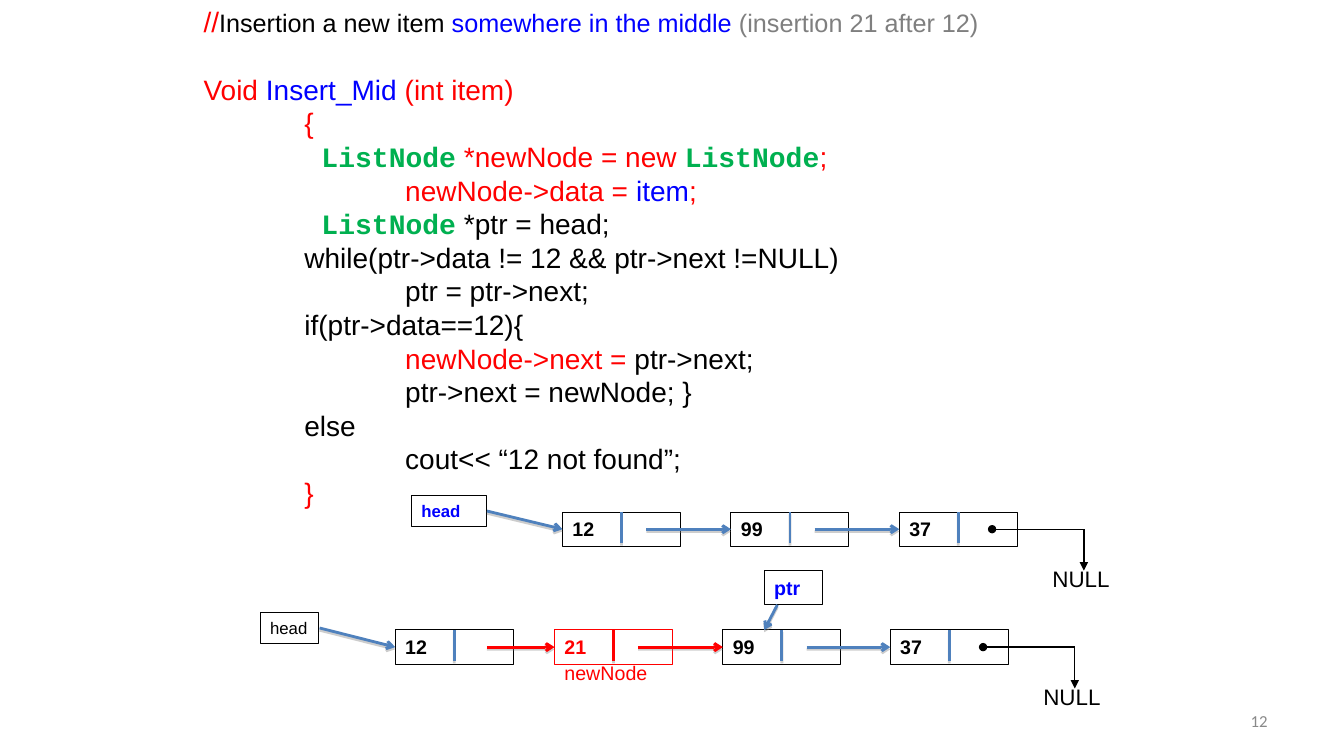
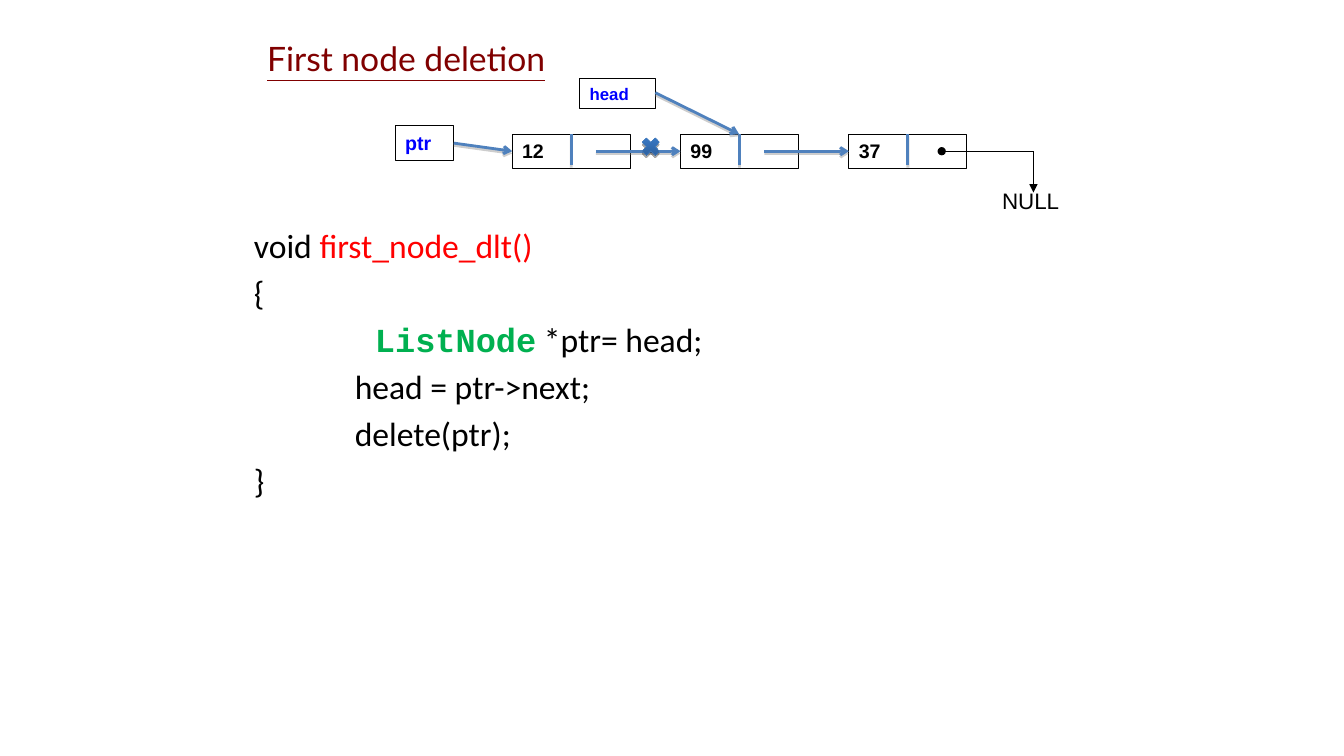
"""Build two slides on inserting into and deleting from a linked list."""
import dataclasses

import lxml.etree
import pptx
import pptx.dml.color
import pptx.enum.shapes
import pptx.enum.text
import pptx.oxml.ns
import pptx.util

Inches = pptx.util.Inches
Pt = pptx.util.Pt
SHAPES = pptx.enum.shapes.MSO_SHAPE
ALIGN = pptx.enum.text.PP_ALIGN
ANCHOR = pptx.enum.text.MSO_ANCHOR
qn = pptx.oxml.ns.qn

COLORS = {
    "black": "000000",
    "red": "FF0000",
    "blue": "0000FF",
    "green": "00B050",
    "gray": "7F7F7F",
    "number": "898989",
    "maroon": "800000",
    "link": "4F81BD",
    "shadow": "808080",
    "cross_top": "3A7CCB",
    "cross_bottom": "2C5D98",
    "cross_line": "4A7EBB",
}


@dataclasses.dataclass
class Span:
    text: str
    color: str = "black"
    font: str = ""
    size: float = 0
    bold: bool = False
    underline: bool = False


@dataclasses.dataclass
class Line:
    spans: list
    indent: float = 0
    before: float = 0


@dataclasses.dataclass
class Node:
    left: float
    value: str
    color: str = "black"
    link_start: float = 0.83


class ListSlides:
    node_width = 1.17
    node_height = 0.34

    def __init__(self):
        self.deck = pptx.Presentation()
        self.deck.slide_width = Inches(13.33)
        self.deck.slide_height = Inches(7.5)
        self.page = None

    def color(self, name):
        return pptx.dml.color.RGBColor.from_string(COLORS[name])

    def add_page(self, title=""):
        layout = self.deck.slide_layouts[5 if title else 6]
        self.page = self.deck.slides.add_slide(layout)
        if title:
            box = self.page.shapes.title
            box.left, box.top = Inches(2.55), Inches(0.27)
            box.width, box.height = Inches(8.62), Inches(0.62)
            span = Span(title, "maroon", underline=True)
            self.fill_text(box, [Line([span])], "Lato", 24, anchor=ANCHOR.MIDDLE)

    def fill_text(self, box, lines, font, size, pitch=0, align=ALIGN.LEFT, anchor=ANCHOR.TOP):
        frame = box.text_frame
        frame.word_wrap = True
        frame.vertical_anchor = anchor
        for index, line in enumerate(lines):
            para = frame.add_paragraph() if index else frame.paragraphs[0]
            para.alignment = align
            para.space_before = Pt(line.before)
            if pitch:
                para.line_spacing = Pt(pitch)
            if line.indent:
                para._p.get_or_add_pPr().set("marL", str(Inches(line.indent)))
            for span in line.spans:
                run = para.add_run()
                run.text = span.text
                run.font.name = span.font or font
                run.font.size = Pt(span.size or size)
                run.font.bold = span.bold
                run.font.underline = span.underline
                run.font.color.rgb = self.color(span.color)

    def text(self, left, top, width, height, lines, font, size, **style):
        box = self.page.shapes.add_textbox(
            Inches(left), Inches(top), Inches(width), Inches(height))
        self.fill_text(box, lines, font, size, **style)

    def label(self, left, top, width, height, text, size, color="black"):
        self.text(left, top, width, height, [Line([Span(text, color)])], "Arial", size)

    def box(self, left, top, width, height, span, size, border="black"):
        box = self.page.shapes.add_shape(
            SHAPES.RECTANGLE, Inches(left), Inches(top), Inches(width), Inches(height))
        box.shadow.inherit = False
        box.fill.background()
        box.line.color.rgb = self.color(border)
        box.line.width = Pt(0.75)
        self.fill_text(box, [Line([span])], "Arial", size)

    def pointer(self, left, top, text, color="blue", bold=True):
        width, height, size = {"ptr": (0.58, 0.34, 14)}.get(text, (0.75, 0.3, 12))
        if not bold:
            width = 0.58
        self.box(left, top, width, height, Span(text, color, bold=bold), size)

    def shadow(self, properties, color, alpha, distance):
        effects = properties.find(qn("a:effectLst"))
        if effects is None:
            effects = lxml.etree.SubElement(properties, qn("a:effectLst"))
        outer = lxml.etree.SubElement(
            effects, qn("a:outerShdw"), blurRad="0", dist=str(Pt(distance)),
            dir="5400000", rotWithShape="0")
        shade = lxml.etree.SubElement(outer, qn("a:srgbClr"), val=COLORS[color])
        lxml.etree.SubElement(shade, qn("a:alpha"), val=str(alpha * 1000))

    def line(self, start, end, color="link", width=2, head="", tail="", shaded=True):
        line = self.page.shapes.add_connector(
            pptx.enum.shapes.MSO_CONNECTOR.STRAIGHT,
            *(Inches(value) for value in start + end))
        line.line.color.rgb = self.color(color)
        line.line.width = Pt(width)
        properties = line._element.spPr
        for tag, kind in (("a:headEnd", head), ("a:tailEnd", tail)):
            if kind:
                lxml.etree.SubElement(properties.find(qn("a:ln")), qn(tag), type=kind)
        if shaded:
            self.shadow(properties, "shadow", 38, 1.6)
        else:
            lxml.etree.SubElement(properties, qn("a:effectLst"))

    def arrow(self, start, end, color="link"):
        self.line(start, end, color, tail="arrow")

    def chain(self, top, nodes):
        middle = top + self.node_height / 2
        for node in nodes:
            self.box(node.left, top, self.node_width, self.node_height,
                     Span(node.value, node.color, bold=True), 14, node.color)
            divider = node.left + self.node_width / 2
            self.line((divider, top), (divider, top + 0.31),
                      "red" if node.color == "red" else "link")
        for node, following in zip(nodes, nodes[1:]):
            color = "red" if "red" in (node.color, following.color) else "link"
            self.arrow((node.left + node.link_start, middle), (following.left, middle), color)
        last = nodes[-1].left
        corner = (last + 1.83, middle)
        self.line((last + 0.92, middle), corner, "black", 1, head="oval", shaded=False)
        self.line(corner, (corner[0], middle + 0.41), "black", 1, tail="triangle", shaded=False)
        self.label(last + 1.42, top + 0.48, 0.8, 0.37, "NULL", 16)

    def cross(self, left, top, size):
        cross = self.page.shapes.add_shape(
            SHAPES.MATH_MULTIPLY, Inches(left), Inches(top), Inches(size), Inches(size))
        cross.shadow.inherit = False
        cross.fill.gradient()
        cross.fill.gradient_angle = 270
        for stop, name in zip(cross.fill.gradient_stops, ("cross_top", "cross_bottom")):
            stop.color.rgb = self.color(name)
        cross.line.color.rgb = self.color("cross_line")
        cross.line.width = Pt(0.25)
        self.shadow(cross._element.spPr, "black", 35, 1.8)


NODE_TYPE = Span("ListNode", "green", "Courier New", bold=True)


def even_nodes(left):
    return [Node(left + 1.67 * index, value) for index, value in enumerate(("12", "99", "37"))]


def insertion(slides):
    slides.add_page()
    slides.text(9.56, 6.95, 3.11, 0.4, [Line([Span("12", "number")])], "Calibri", 12,
                align=ALIGN.RIGHT, anchor=ANCHOR.MIDDLE)
    code = [
        Line([Span("//", "red"), Span("Insertion a new item ", size=18),
              Span("somewhere in the middle ", "blue", size=18),
              Span("(insertion 21 after 12)", "gray", size=18)]),
        Line([Span("Void ", "red"), Span("Insert_Mid", "blue"), Span(" (int item)", "red")],
             before=24),
        Line([Span("{", "red")], 1),
        Line([NODE_TYPE, Span(" *newNode = new ", "red"), NODE_TYPE, Span(";", "red")], 1.17),
        Line([Span("newNode->data = ", "red"), Span("item", "blue"), Span(";", "red")], 2),
        Line([NODE_TYPE, Span(" *ptr = head;")], 1.17),
        Line([Span("while(ptr->data != 12 && ptr->next !=NULL)")], 1),
        Line([Span("ptr = ptr->next;")], 2),
        Line([Span("if(ptr->data==12){")], 1),
        Line([Span("newNode->next = ", "red"), Span("ptr->next;")], 2),
        Line([Span("ptr->next = newNode; }")], 2),
        Line([Span("else")], 1),
        Line([Span("cout<< “12 not found”;")], 2),
        Line([Span("}", "red")], 1),
    ]
    slides.text(1.92, 0, 9.58, 5.55, code, "Arial", 20, pitch=24)

    slides.pointer(4.08, 4.92, "head")
    slides.chain(5.08, even_nodes(5.58))
    slides.arrow((4.83, 5.07), (5.58, 5.25))

    slides.pointer(2.58, 6.08, "head", "black", bold=False)
    slides.chain(6.25, [Node(3.92, "12", link_start=0.91), Node(5.5, "21", "red"),
                        Node(7.17, "99"), Node(8.83, "37")])
    slides.arrow((3.17, 6.23), (3.92, 6.42))
    slides.pointer(7.58, 5.66, "ptr")
    slides.arrow((7.71, 6), (7.58, 6.25))
    slides.label(5.5, 6.51, 1.1, 0.34, "newNode", 14, "red")


def deletion(slides):
    slides.add_page("First node deletion")
    gap = 4.8
    code = [
        Line([Span("void "), Span("first_node_dlt()", "red")]),
        Line([Span("{")], before=gap),
        Line([NODE_TYPE, Span(" *ptr= head;")], 1.2, gap),
        Line([Span("head = ptr->next;")], 1, gap),
        Line([Span("delete(ptr);")], 1, gap),
        Line([Span("}")], before=gap),
    ]
    slides.text(2.42, 2.18, 8.75, 4.53, code, "Calibri", 24, pitch=28.8)

    slides.pointer(5.75, 0.78, "head")
    slides.chain(1.33, even_nodes(5.08))
    slides.cross(6.33, 1.33, 0.25)
    slides.arrow((6.5, 0.92), (7.33, 1.33))
    slides.pointer(3.92, 1.25, "ptr")
    slides.arrow((4.5, 1.42), (5.08, 1.5))


def main():
    slides = ListSlides()
    insertion(slides)
    deletion(slides)
    slides.deck.save("out.pptx")


if __name__ == "__main__":
    main()
